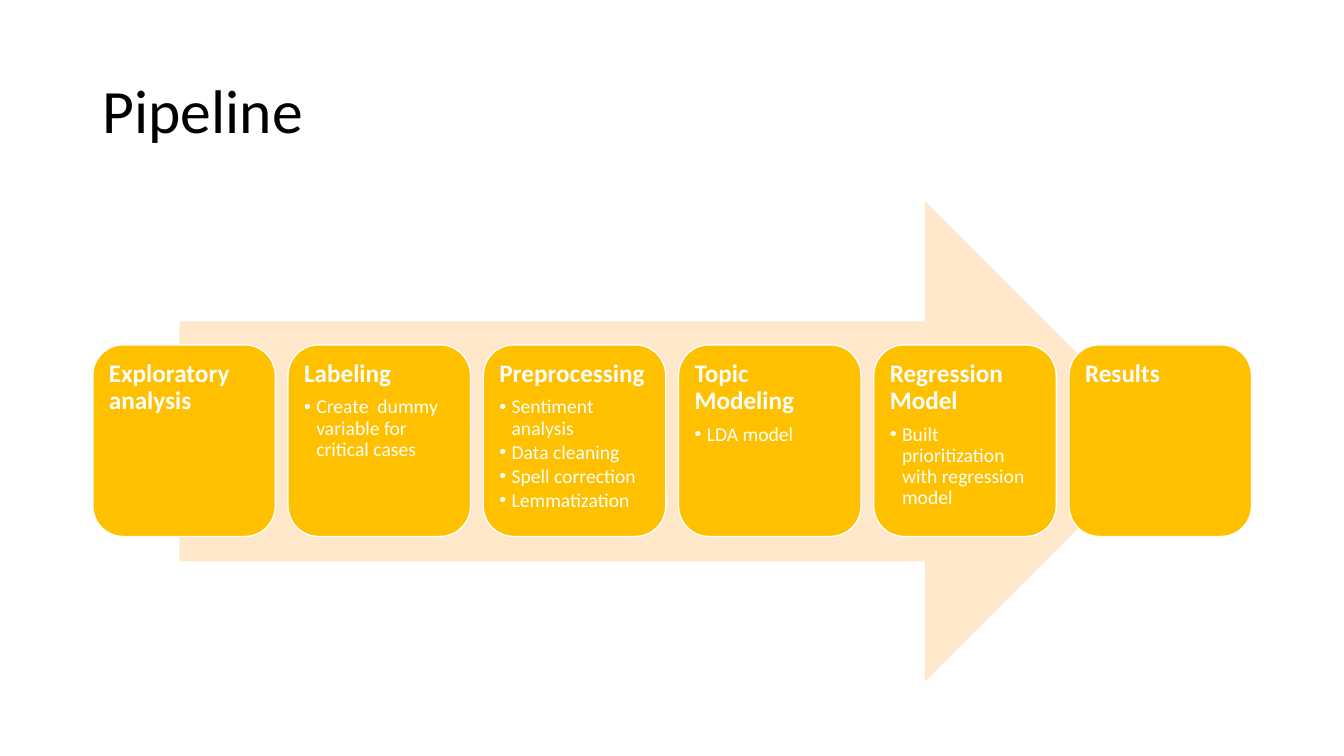
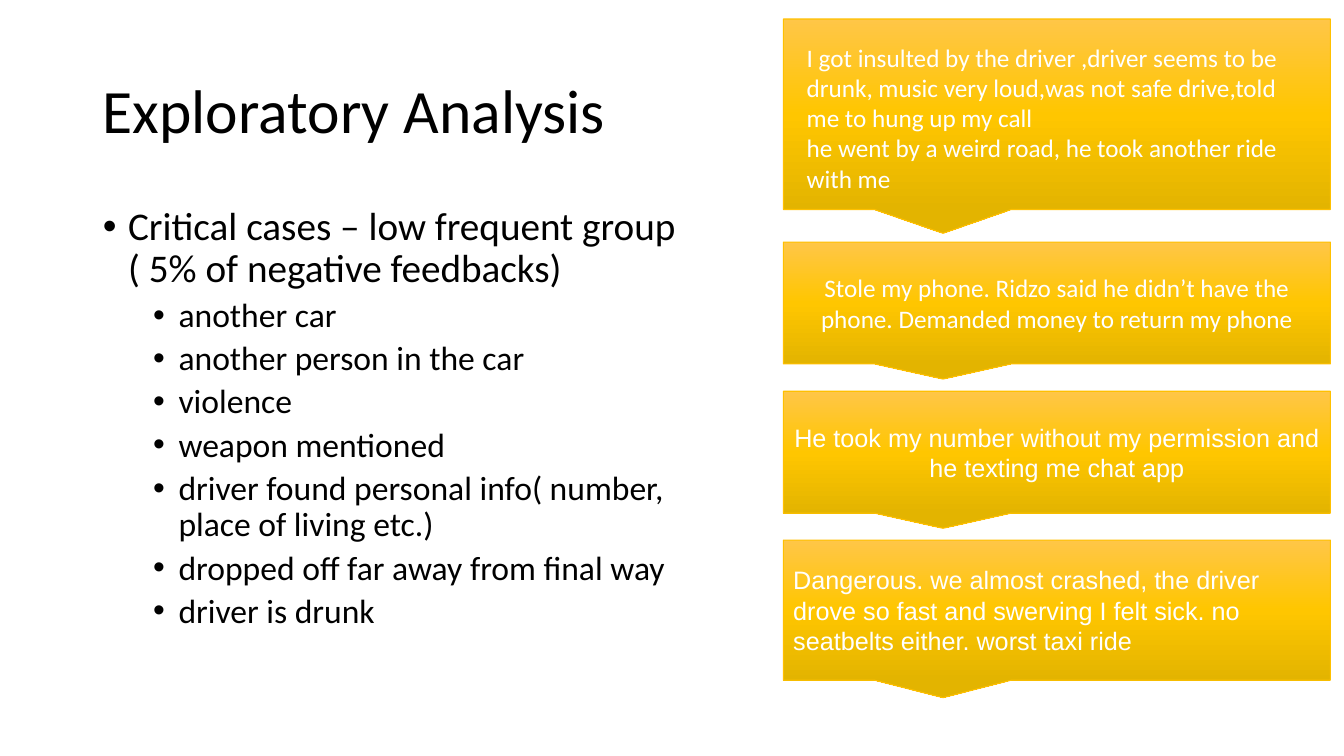
from copy import deepcopy
from dataclasses import dataclass

from lxml.etree import SubElement
from pptx import Presentation
from pptx.dml.color import RGBColor
from pptx.enum.shapes import MSO_SHAPE
from pptx.enum.text import MSO_ANCHOR, MSO_AUTO_SIZE, PP_ALIGN
from pptx.oxml.ns import qn
from pptx.util import Cm, Pt

# Shared style
FONT, ALT_FONT = "Calibri", "Arial"
BLACK, WHITE, AMBER, PALE = "000000", "FFFFFF", "FFC000", "FFE8CA"
GRADIENT = ((0, "FFC647"), (0.5, "FFC600"), (1, "E3B400"))
LEFT, BODY_TOP, BODY_H = 2.34, 5.08, 12.09


@dataclass
class Stage:
    title: str
    points: tuple[str, ...] = ()


@dataclass
class Quote:
    top: float
    height: float
    lines: tuple[str, ...]
    font: str = FONT
    align: PP_ALIGN = PP_ALIGN.LEFT
    anchor: MSO_ANCHOR = MSO_ANCHOR.MIDDLE
    insets: tuple[float, ...] = (0.25, 0.13, 0.25, 0.13)


STAGES = (
    Stage("Exploratory analysis"),
    Stage("Labeling", ("Create  dummy variable for critical cases",)),
    Stage("Preprocessing", ("Sentiment analysis", "Data cleaning",
                            "Spell correction", "Lemmatization")),
    Stage("Topic Modeling", ("LDA model",)),
    Stage("Regression Model", ("Built prioritization with regression model",)),
    Stage("Results"),
)

FINDING = "Critical cases – low frequent group ( 5% of negative feedbacks)"
CASES = (
    "another car",
    "another person in the car",
    "violence",
    "weapon mentioned",
    "driver found personal info( number, place of living etc.)",
    "dropped off far away from final way",
    "driver is drunk",
)

QUOTES = (
    Quote(0.48, 4.8, (
        "I got insulted by the driver ,driver seems to be drunk, music very "
        "loud,was not safe drive,told me to hung up my call",
        "he went by a weird road, he took another ride with me",
    ), anchor=MSO_ANCHOR.TOP, insets=(0.59, 0.58, 0.91, 0.13)),
    Quote(6.1, 3.07, (
        "Stole my phone. Ridzo said he didn’t have the phone. Demanded money "
        "to return my phone",
    ), align=PP_ALIGN.CENTER),
    Quote(9.86, 3.07, (
        "He took my number without my permission and he texting me chat app",
    ), font=ALT_FONT, align=PP_ALIGN.CENTER),
    Quote(13.61, 3.53, (
        "Dangerous. we almost crashed, the driver drove so fast and swerving "
        "I felt sick. no seatbelts either. worst taxi ride",
    ), font=ALT_FONT),
)


def rgb(value: str) -> RGBColor:
    return RGBColor.from_string(value)


def place(sp, left: float, top: float, width: float, height: float) -> None:
    sp.left, sp.top, sp.width, sp.height = map(Cm, (left, top, width, height))


def setup_text(sp, anchor: MSO_ANCHOR, insets=(0.25, 0.13, 0.25, 0.13)):
    tf = sp.text_frame
    tf.word_wrap = True
    tf.auto_size = MSO_AUTO_SIZE.NONE
    tf.vertical_anchor = anchor
    tf.margin_left, tf.margin_top, tf.margin_right, tf.margin_bottom = map(Cm, insets)
    return tf


def add_text(tf, text: str, size: float, color: str, font: str = FONT,
             bold: bool = False, align: PP_ALIGN = PP_ALIGN.LEFT,
             spacing: float = 0.9, before: float = 0, level: int = 0,
             bullet: tuple[float, float] | None = None) -> None:
    """Add one paragraph; bullet is (text indent, hanging width) in cm."""
    p = tf.paragraphs[0]
    if p.runs:
        p = tf.add_paragraph()
    p.alignment, p.level = align, level
    p.line_spacing, p.space_before = spacing, Pt(before)
    r = p.add_run()
    r.text = text
    r.font.name, r.font.size, r.font.bold = font, Pt(size), bold
    r.font.color.rgb = rgb(color)
    if bullet:
        indent, hanging = bullet
        pPr = p._p.get_or_add_pPr()
        pPr.set("marL", str(Cm(indent)))
        pPr.set("indent", str(-Cm(hanging)))
        SubElement(pPr, qn("a:buFont")).set("typeface", ALT_FONT)
        SubElement(pPr, qn("a:buChar")).set("char", "•")


def add_shape(s, kind: MSO_SHAPE, box: tuple[float, ...], adjustments: tuple[float, ...],
              fill: str, line: str | None = None, width: float = 1):
    sp = s.shapes.add_shape(kind, *map(Cm, box))
    sp.shadow.inherit = False
    for i, value in enumerate(adjustments):
        sp.adjustments[i] = value
    sp.fill.solid()
    sp.fill.fore_color.rgb = rgb(fill)
    if line:
        sp.line.color.rgb = rgb(line)
        sp.line.width = Pt(width)
    else:
        sp.line.fill.background()
    return sp


def set_gradient(sp) -> None:
    sp.fill.gradient()
    sp.fill.gradient_angle = 270
    stops = sp._element.spPr.find(qn("a:gradFill")).find(qn("a:gsLst"))
    stops.append(deepcopy(stops[0]))
    for stop, (position, color) in zip(sp.fill.gradient_stops, GRADIENT):
        stop.position = position
        stop.color.rgb = rgb(color)


def add_slide(prs, layout: int, title: str):
    s = prs.slides.add_slide(prs.slide_layouts[layout])
    place(s.shapes.title, LEFT, 1.02, 29.21, 3.68)
    add_text(setup_text(s.shapes.title, MSO_ANCHOR.MIDDLE), title, 44, BLACK)
    return s


def add_stage(s, i: int, stage: Stage) -> None:
    width, gap = 4.6, 0.32
    sp = add_shape(s, MSO_SHAPE.ROUNDED_RECTANGLE,
                   (LEFT + i * (width + gap), 8.69, width, 4.83), (0.167,), AMBER, WHITE)
    tf = setup_text(sp, MSO_ANCHOR.TOP, (0.18,) * 4)
    add_text(tf, stage.title, 18, WHITE, bold=True)
    for j, point in enumerate(stage.points):
        add_text(tf, point, 14, WHITE, before=2.1 if j else 6.3,
                 level=1, bullet=(0.31, 0.31))


def add_quote(s, quote: Quote) -> None:
    sp = add_shape(s, MSO_SHAPE.ROUNDED_RECTANGULAR_CALLOUT,
                   (19.74, quote.top, 13.79, quote.height),
                   (-0.208, 0.625, 0), AMBER, AMBER, 0.75)
    set_gradient(sp)
    tf = setup_text(sp, quote.anchor, quote.insets)
    for line in quote.lines:
        add_text(tf, line, 18, WHITE, quote.font, align=quote.align, spacing=1.0)


def build_pipeline(prs) -> None:
    s = add_slide(prs, 5, "Pipeline")
    add_shape(s, MSO_SHAPE.RIGHT_ARROW, (4.52, BODY_TOP, 24.84, BODY_H), (0.5, 0.5), PALE)
    for i, stage in enumerate(STAGES):
        add_stage(s, i, stage)


def build_analysis(prs) -> None:
    s = add_slide(prs, 1, "Exploratory Analysis")
    # Findings list
    body = s.placeholders[1]
    place(body, LEFT, BODY_TOP, 15.42, BODY_H)
    tf = setup_text(body, MSO_ANCHOR.TOP)
    add_text(tf, FINDING, 28, BLACK, bullet=(0.64, 0.64))
    for case in CASES:
        add_text(tf, case, 24, BLACK, before=5, level=1, bullet=(1.91, 0.64))
    # Customer quotes
    for quote in QUOTES:
        add_quote(s, quote)


def main() -> None:
    prs = Presentation()
    prs.slide_width, prs.slide_height = Cm(33.87), Cm(19.05)
    build_pipeline(prs)
    build_analysis(prs)
    prs.save("out.pptx")


if __name__ == "__main__":
    main()
